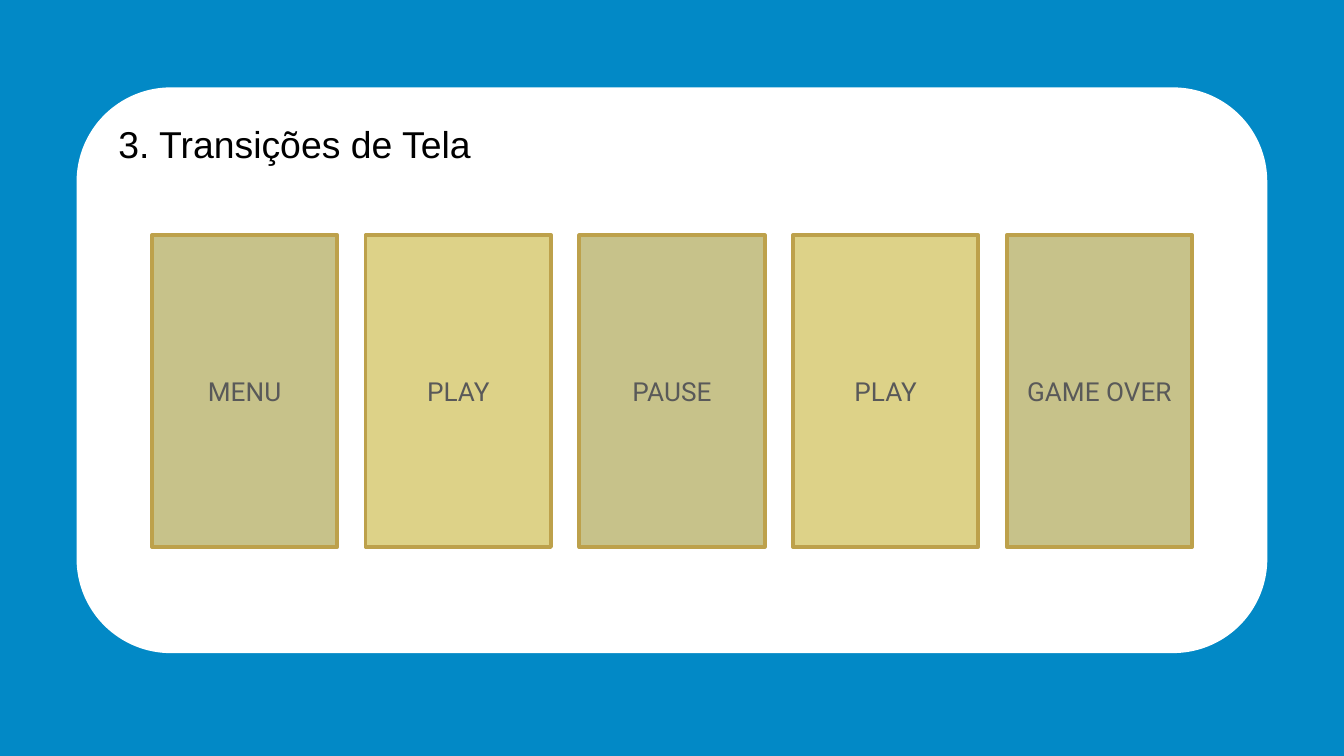
from pptx import Presentation
from pptx import util as u
from pptx.dml.color import RGBColor
from pptx.enum import shapes, text

TITLE = "3. Transições de Tela"
SCREENS = ["MENU", "PLAY", "PAUSE", "PLAY", "GAME OVER"]

COLORS = {
    "background": "0289C6",
    "panel": "FFFFFF",
    "title": "000000",
    "menu_screen": "C7C28A",
    "play_screen": "DDD288",
    "border": "BDA14B",
    "label": "595959",
}
TITLE_FONT = {"name": "Arial", "size": u.Pt(20), "bold": False}
LABEL_FONT = {"name": "Roboto", "size": u.Pt(14)}

# Inches
SLIDE_WIDTH = 10
SLIDE_HEIGHT = SLIDE_WIDTH * 9 / 16
PANEL = (0.57, 0.65, 8.86, 4.21)
TITLE_BOX = (0.78, 0.85, 8.44, 0.45)
CARD_WIDTH, CARD_HEIGHT, CARD_TOP = 1.38, 2.32, 1.75
CARD_GAP = 0.21


def color(name):
    return RGBColor.from_string(COLORS[name])


def inches(box):
    return [u.Inches(value) for value in box]


def add_box(slide, kind, box, fill):
    shape = slide.shapes.add_shape(kind, *inches(box))
    shape.shadow.inherit = False
    shape.fill.solid()
    shape.fill.fore_color.rgb = color(fill)
    shape.line.fill.background()
    return shape


def write(shape, words, font_values, font_color, alignment, anchor):
    frame = shape.text_frame
    frame.word_wrap = True
    frame.auto_size = text.MSO_AUTO_SIZE.NONE
    frame.vertical_anchor = anchor
    paragraph = frame.paragraphs[0]
    paragraph.alignment = alignment
    run = paragraph.add_run()
    run.text = words
    for name, value in font_values.items():
        setattr(run.font, name, value)
    run.font.color.rgb = color(font_color)


def main():
    presentation = Presentation()
    presentation.slide_width = u.Inches(SLIDE_WIDTH)
    presentation.slide_height = u.Inches(SLIDE_HEIGHT)
    slide = presentation.slides.add_slide(presentation.slide_layouts[5])
    slide.background.fill.solid()
    slide.background.fill.fore_color.rgb = color("background")

    title = slide.shapes.title
    title.left, title.top, title.width, title.height = inches(TITLE_BOX)
    write(title, TITLE, TITLE_FONT, "title",
          text.PP_ALIGN.LEFT, text.MSO_ANCHOR.TOP)

    panel = add_box(slide, shapes.MSO_SHAPE.ROUNDED_RECTANGLE, PANEL, "panel")
    title.element.addprevious(panel.element)  # panel goes behind the title

    pitch = CARD_WIDTH + CARD_GAP
    row_width = len(SCREENS) * pitch - CARD_GAP
    row_left = (SLIDE_WIDTH - row_width) / 2
    for column, label in enumerate(SCREENS):
        box = (row_left + column * pitch, CARD_TOP, CARD_WIDTH, CARD_HEIGHT)
        fill = "play_screen" if label == "PLAY" else "menu_screen"
        card = add_box(slide, shapes.MSO_SHAPE.RECTANGLE, box, fill)
        card.line.color.rgb = color("border")
        card.line.width = u.Pt(2)
        write(card, label, LABEL_FONT, "label",
              text.PP_ALIGN.CENTER, text.MSO_ANCHOR.MIDDLE)

    presentation.save("out.pptx")


if __name__ == "__main__":
    main()
